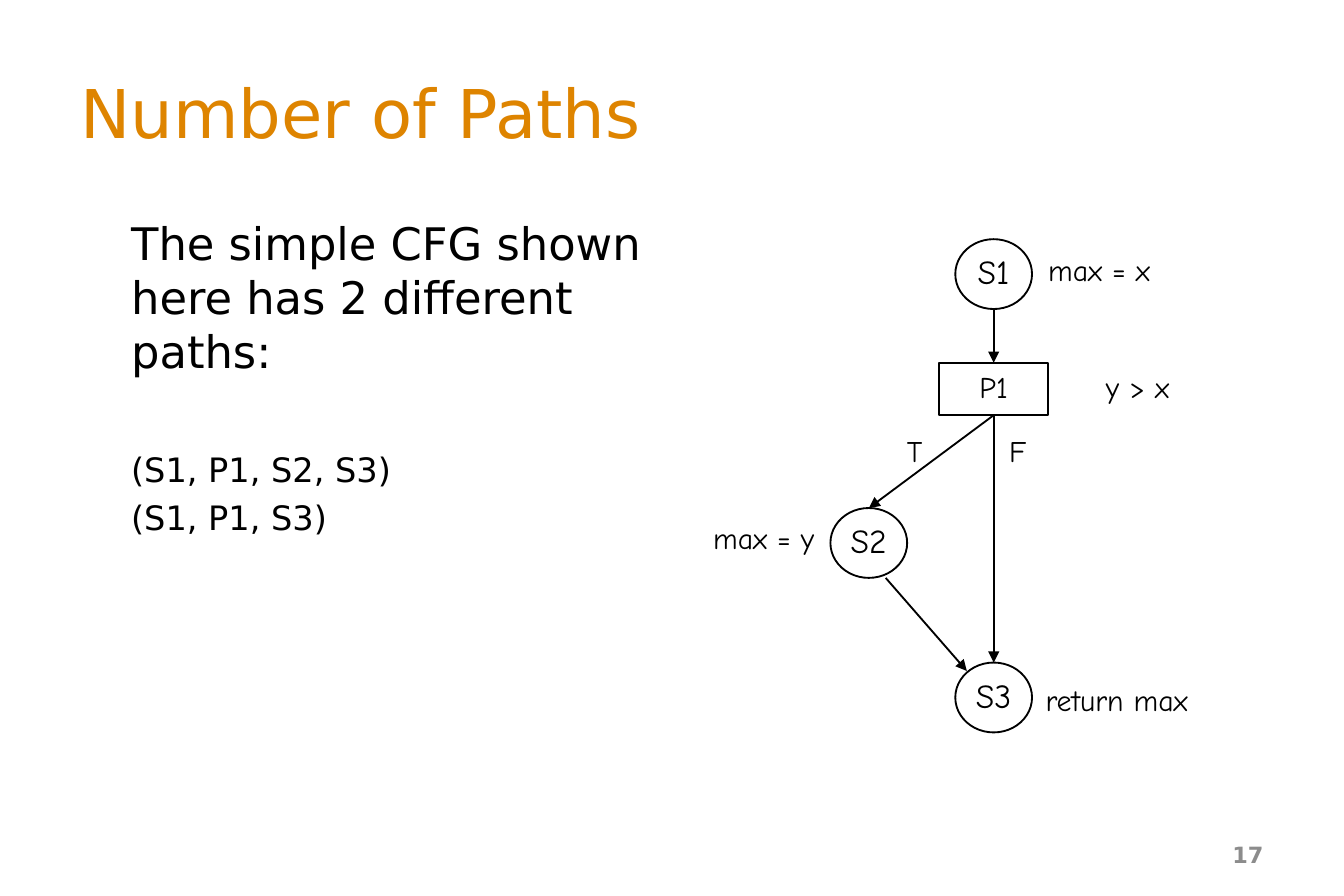
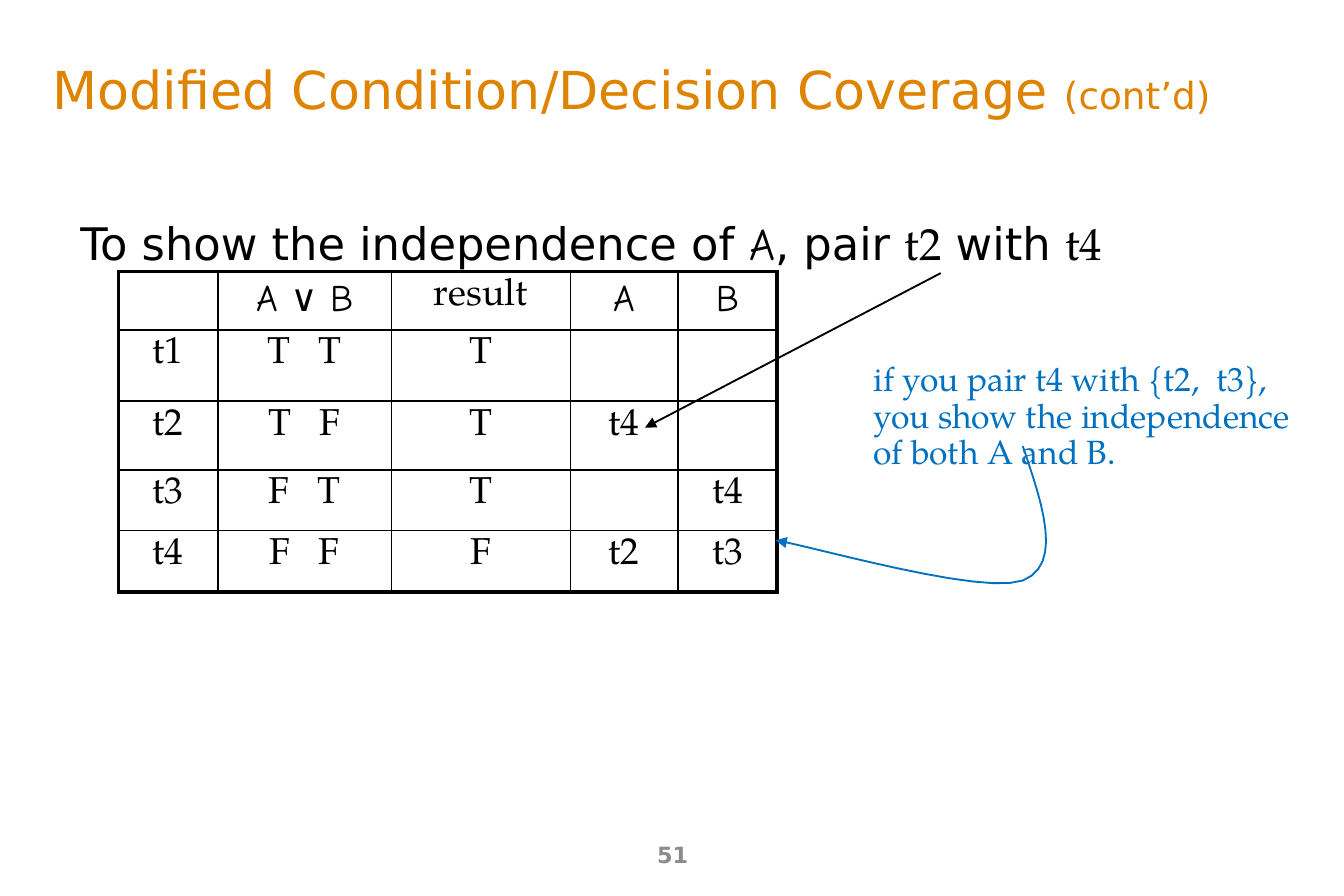
from itertools import pairwise

from pptx import Presentation
from pptx.dml.color import RGBColor
from pptx.enum.shapes import MSO_CONNECTOR as CONN, MSO_SHAPE as SHAPE
from pptx.enum.text import MSO_ANCHOR as ANCHOR, PP_ALIGN as ALIGN
from pptx.oxml.ns import qn
from pptx.util import Cm, Pt
from lxml.etree import SubElement

COLORS = {"title": "DE8400", "text": "000000", "number": "8C8C8C", "note": "0070C0"}
SANS, COMIC, SERIF = "DejaVu Sans", "Comic Neue", "TeX Gyre Pagella"

# Slide 1: control flow graph, lengths in cm
PATHS_TITLE = [("Number of Paths", {"size": 36})]
PATHS_BODY = [  # text, size, space before
    ("The simple CFG shown here has 2 different paths:", 24, 0),
    ("(S1, P1, S2, S3)", 18, 38),
    ("(S1, P1, S3)", 18, 4.2),
]
CIRCLE, BOX = (SHAPE.OVAL, 1.45, 1.32, 18), (SHAPE.RECTANGLE, 2.06, 0.99, 16)
NODES = {  # name: kind, centre x, centre y
    "S1": (CIRCLE, 18.78, 5.18),
    "P1": (BOX, 18.78, 7.35),
    "S2": (CIRCLE, 16.42, 10.26),
    "S3": (CIRCLE, 18.78, 13.18),
}
# Anchor points as fractions of the node size, from its centre
TOP, BOTTOM = (0, -0.5), (0, 0.5)
LOWER_RIGHT, UPPER_LEFT = (0.22, 0.5), (-0.35, -0.38)
EDGES = [
    ("S1", BOTTOM, "P1", TOP),
    ("P1", BOTTOM, "S2", TOP),
    ("S2", LOWER_RIGHT, "S3", UPPER_LEFT),
    ("P1", BOTTOM, "S3", TOP),
]
LABELS = [  # text, left, top, width
    ("return max", 19.51, 12.83, 3.94),
    ("max = x", 19.56, 4.7, 3.35),
    ("max = y", 13.23, 9.78, 2.79),
    ("T", 16.89, 8.13, 1.35),
    ("F", 18.82, 8.13, 1.35),
    ("y > x", 20.65, 6.91, 2.79),
]

# Slide 2: truth table
COVERAGE_TITLE = [("Modified Condition/Decision Coverage ", {"size": 28}),
                  ("(cont’d)", {"size": 20})]
COVERAGE_BODY = [("To show the independence of ", SANS), ("A", COMIC),
                 (", pair ", SANS), ("t2", SERIF), (" with ", SANS), ("t4", SERIF)]
TABLE = [
    ["", "A ∨ B", "result", "A", "B"],
    ["t1", "T T", "T", "", ""],
    ["t2", "T F", "T", "t4", ""],
    ["t3", "F T", "T", "", "t4"],
    ["t4", "F F", "F", "t2", "t3"],
]
COL_WIDTHS = [1.88, 3.28, 3.38, 2.03, 1.88]
ROW_HEIGHTS = [0.99, 1.35, 1.3, 1.14, 1.17]
NOTE = "if you pair t4 with {t2,  t3}, you show the independence of both A and B."
CURVE = [  # two Bezier arcs that share their middle point
    [(19.33, 8.43), (19.71, 9.55), (20.09, 10.67), (19.33, 10.97)],
    [(19.33, 10.97), (18.54, 11.25), (15.42, 10.34), (14.66, 10.21)],
]


def cm(*values):
    return [Cm(v) for v in values]


def add_run(p, text, color="text", **formats):
    r = p.add_run()
    r.text = text
    formats = {"name": SANS, **formats}
    formats["size"] = Pt(formats["size"])
    for key, value in formats.items():
        setattr(r.font, key, value)
    r.font.color.rgb = RGBColor.from_string(COLORS[color])
    return r


def add_box(slide, *rect, **formats):
    tf = slide.shapes.add_textbox(*cm(*rect)).text_frame
    tf.word_wrap = True
    for key, value in formats.items():
        setattr(tf, key, value)
    return tf


def add_slide(prs, title, title_rect, number, number_rect, number_align):
    slide = prs.slides.add_slide(prs.slide_layouts[5])
    sp = slide.shapes.title
    sp.left, sp.top, sp.width, sp.height = cm(*title_rect)
    tf = sp.text_frame
    tf.vertical_anchor = ANCHOR.MIDDLE
    p = tf.paragraphs[0]
    p.alignment = ALIGN.LEFT
    for text, formats in title:
        add_run(p, text, "title", **formats)
    p = add_box(slide, *number_rect, vertical_anchor=ANCHOR.MIDDLE).paragraphs[0]
    p.alignment = number_align
    add_run(p, number, "number", size=12, bold=True)
    return slide


def add_label(slide, text, rect, color="text", **formats):
    p = add_box(slide, *rect).paragraphs[0]
    p.line_spacing = 0.9
    add_run(p, text, color, **formats)


def style_line(line, color="text", arrow=False):
    line.color.rgb = RGBColor.from_string(COLORS[color])
    line.width = Pt(1)
    if arrow:
        SubElement(line._get_or_add_ln(), qn("a:tailEnd"), type="triangle")


def add_arrow(slide, start, end):
    line = slide.shapes.add_connector(CONN.STRAIGHT, *cm(*start, *end))
    style_line(line.line, arrow=True)
    SubElement(line._element.spPr, qn("a:effectLst"))


def add_node(slide, name):
    (kind, w, h, size), x, y = NODES[name]
    sp = slide.shapes.add_shape(kind, *cm(x - w / 2, y - h / 2, w, h))
    sp.shadow.inherit = False
    sp.fill.background()
    style_line(sp.line)
    tf = sp.text_frame
    tf.word_wrap = False
    tf.vertical_anchor = ANCHOR.MIDDLE
    p = tf.paragraphs[0]
    p.alignment = ALIGN.CENTER
    p.line_spacing = 0.9
    add_run(p, name, name=COMIC, size=size)


def node_point(name, anchor):
    (_, w, h, _), x, y = NODES[name]
    return x + anchor[0] * w, y + anchor[1] * h


def set_borders(cell, widths):
    tcPr = cell._tc.get_or_add_tcPr()
    for side, width in widths.items():
        ln = SubElement(tcPr, qn(f"a:ln{side}"), w=str(Pt(width)))
        fill = SubElement(ln, qn("a:solidFill"))
        SubElement(fill, qn("a:srgbClr"), val=COLORS["text"])


def add_truth_table(slide):
    rows, cols = len(TABLE), len(TABLE[0])
    frame = slide.shapes.add_table(rows, cols, *cm(2.24, 5.13, sum(COL_WIDTHS), sum(ROW_HEIGHTS)))
    table = frame.table
    table.first_row = table.horz_banding = False
    for col, width in zip(table.columns, COL_WIDTHS):
        col.width = Cm(width)
    for i, (row, height) in enumerate(zip(table.rows, ROW_HEIGHTS)):
        row.height = Cm(height)
        for j, cell in enumerate(row.cells):
            outer = {"L": j == 0, "R": j == cols - 1, "T": i == 0, "B": i == rows - 1}
            set_borders(cell, {side: 2.25 if out else 1 for side, out in outer.items()})
            cell.fill.background()
            text = TABLE[i][j]
            if not text:
                continue
            p = cell.text_frame.paragraphs[0]
            p.alignment = ALIGN.CENTER
            font = COMIC if i == 0 and text != "result" else SERIF
            if i and " " in text:  # widen the gap between two truth values
                for part in text:
                    r = add_run(p, part, name=font, size=20)
                    if part == " ":
                        r.font._element.set("spc", "1000")
            else:
                add_run(p, text, name=font, size=20)


def bezier(points, t):
    while len(points) > 1:
        points = [(a + (c - a) * t, b + (d - b) * t) for (a, b), (c, d) in pairwise(points)]
    return points[0]


def add_curve(slide, steps=12):
    points = [cm(*bezier(arc, k / steps)) for arc in CURVE for k in range(1, steps + 1)]
    builder = slide.shapes.build_freeform(*cm(*CURVE[0][0]), scale=1.0)
    builder.add_line_segments(points, close=False)
    sp = builder.convert_to_shape()
    sp.shadow.inherit = False
    sp.fill.background()
    style_line(sp.line, "note", arrow=True)


def build_paths(prs):
    slide = add_slide(prs, PATHS_TITLE, (1.27, 0.69, 22.86, 2.82),
                      "17", (18.21, 15.7, 5.92, 0.91), ALIGN.RIGHT)
    # Body, indented as a whole
    tf = add_box(slide, 1.27, 3.96, 11.38, 11.1, margin_left=Cm(1.21))
    for i, (text, size, before) in enumerate(PATHS_BODY):
        p = tf.add_paragraph() if i else tf.paragraphs[0]
        p.space_before = Pt(before)
        add_run(p, text, size=size)
    # Graph
    for name in NODES:
        add_node(slide, name)
    for start, leave, end, arrive in EDGES:
        add_arrow(slide, node_point(start, leave), node_point(end, arrive))
    for text, *rect in LABELS:
        add_label(slide, text, (*rect, 0.86), name=COMIC, size=16)


def build_coverage(prs):
    slide = add_slide(prs, COVERAGE_TITLE, (0.74, 0.64, 23.7, 2.06),
                      "51", (8.69, 15.7, 8.05, 0.91), ALIGN.CENTER)
    p = add_box(slide, 1.27, 3.96, 22.86, 11.18).paragraphs[0]
    for text, font in COVERAGE_BODY:
        add_run(p, text, name=font, size=24)
    add_truth_table(slide)
    # Pointers into the table
    add_arrow(slide, (17.78, 5.16), (12.19, 8.08))
    add_label(slide, NOTE, (16.26, 6.73, 8.61, 2.31), "note", name=SERIF, size=18)
    add_curve(slide)


def main():
    prs = Presentation()
    prs.slide_width, prs.slide_height = cm(25.4, 16.93)
    build_paths(prs)
    build_coverage(prs)
    prs.save("out.pptx")


if __name__ == "__main__":
    main()
